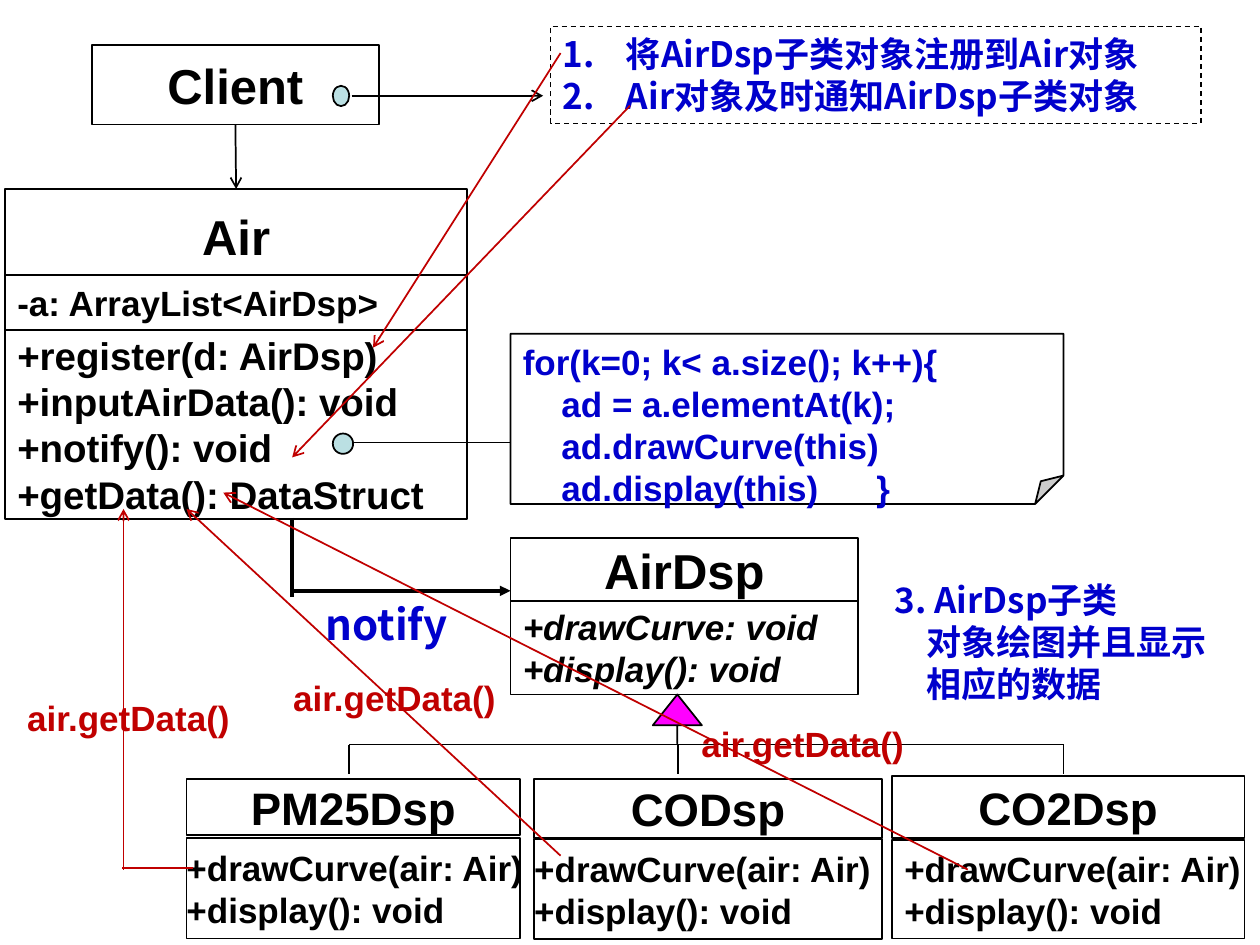
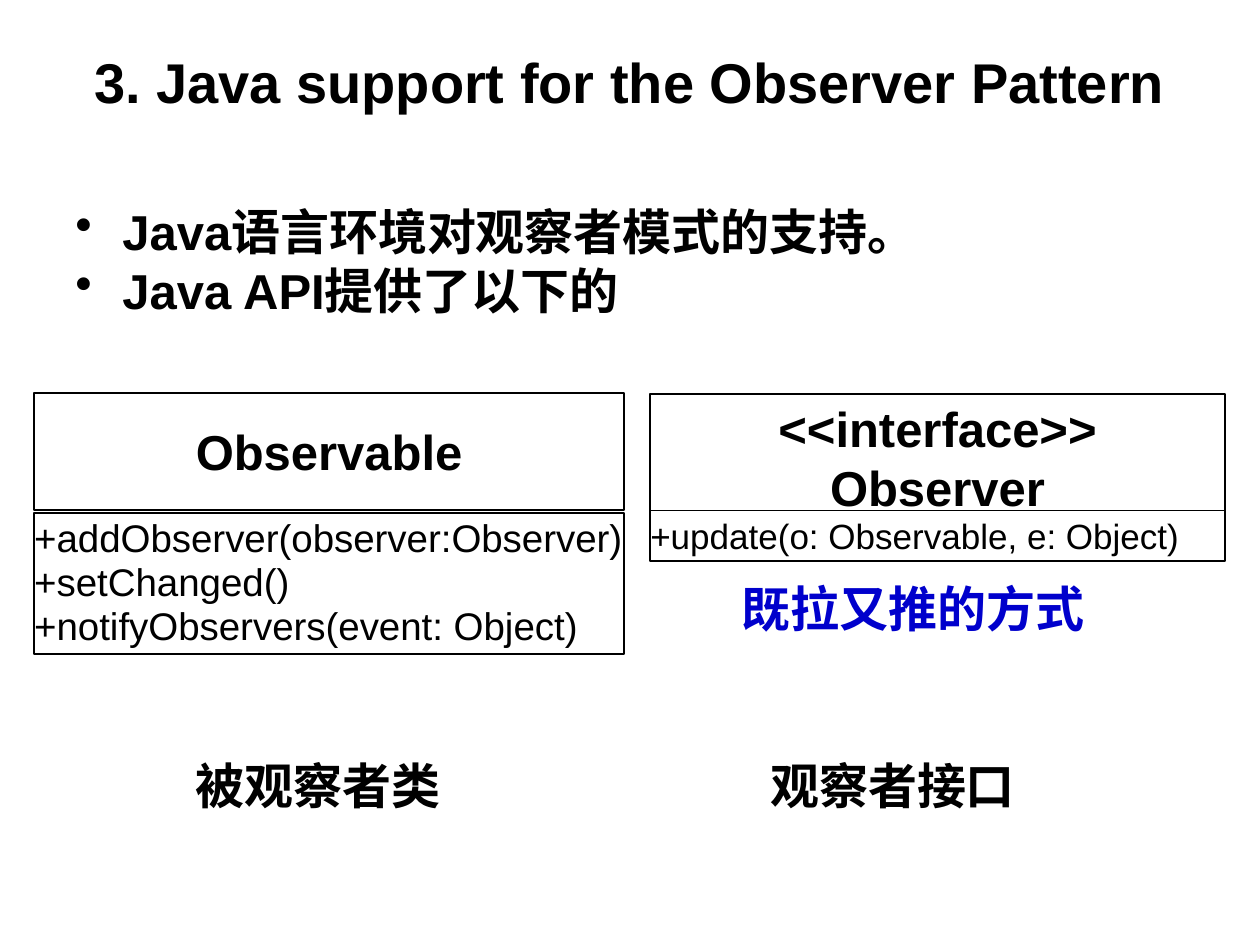
import pptx
import pptx.dml.color
import pptx.enum.dml
import pptx.enum.shapes
import pptx.enum.text
import pptx.oxml.ns
import pptx.util
from lxml import etree

Cm, Pt = pptx.util.Cm, pptx.util.Pt
SHAPE = pptx.enum.shapes.MSO_SHAPE
ALIGN = pptx.enum.text.PP_ALIGN
ANCHOR = pptx.enum.text.MSO_ANCHOR
qn = pptx.oxml.ns.qn

# Shared style
BLACK, WHITE, BLUE, RED = "000000", "FFFFFF", "0000CC", "C00000"
DOT_FILL, TRIANGLE_FILL = "BBE0E3", "FF00FF"
LATIN, CHINESE = "Arial", "Noto Sans CJK SC"
INSETS = (0.25, 0.13, 0.25, 0.13)
FLAT = (0.25, 0, 0.25, 0)
FLUSH = (0, 0, 0.25, 0)
THIN = (0, 0.08, 0, 0.08)

# Content of slide 1: class name -> left, width, compartments (top, height, lines, text style)
DRAW_METHODS = ["+drawCurve(air: Air)", "+display(): void"]
NAME = dict(size=28, align=ALIGN.CENTER)
DISPLAY_NAME = dict(size=26, align=ALIGN.CENTER, insets=FLAT)
CLASSES = {
    "Air": (0.1, 9.32, [
        (3.81, 1.88, ["Air"], NAME),
        (5.54, 1.12, ["-a: ArrayList<AirDsp>"], {}),
        (6.65, 3.81, ["+register(d: AirDsp)", "+inputAirData(): void",
                      "+notify(): void", "+getData(): DataStruct"], dict(size=22))]),
    "PM25Dsp": (3.76, 6.73, [
        (15.7, 1.14, ["PM25Dsp"], DISPLAY_NAME),
        (16.89, 2.03, DRAW_METHODS, dict(insets=FLUSH))]),
    "CODsp": (10.77, 7.01, [
        (15.7, 1.19, ["CODsp"], DISPLAY_NAME),
        (16.92, 2.01, DRAW_METHODS, dict(insets=FLUSH))]),
    "CO2Dsp": (17.98, 7.11, [
        (15.65, 1.24, ["CO2Dsp"], DISPLAY_NAME),
        (16.94, 1.98, DRAW_METHODS, dict(insets=FLAT))]),
    "AirDsp": (10.29, 7.01, [
        (10.85, 1.27, ["AirDsp"], NAME),
        (12.12, 1.88, ["+drawCurve: void", "+display(): void"], dict(italic=True))]),
    "Client": (1.85, 5.79, [(0.91, 1.6, ["Client"], NAME)]),
}
LOOP_CODE = ["for(k=0; k< a.size(); k++){", "ad = a.elementAt(k);",
             "ad.drawCurve(this)", "ad.display(this)\t}"]
CLIENT_STEPS = ["将AirDsp子类对象注册到Air对象", "Air对象及时通知AirDsp子类对象"]
DRAW_STEP = ["3. AirDsp子类", "对象绘图并且显示", "相应的数据"]
GET_DATA_PLACES = [(0.3, 13.92), (5.66, 13.51), (13.89, 14.43)]
DOTS = [(6.71, 8.74, 0.41, 0.41), (6.71, 1.73, 0.33, 0.41)]

# Lines: start, end, colour, width, arrowhead
BUS_Y, DROP_Y, DROP_XS = 15.01, 15.6, [7.04, 13.67, 21.44]
LINES = [
    ((DROP_XS[0], BUS_Y), (DROP_XS[-1], BUS_Y), BLACK, 1, None),
    *[((x, BUS_Y), (x, DROP_Y), BLACK, 1, None) for x in DROP_XS],
    ((5.89, 10.44), (5.89, 12.04), BLACK, 2, None),
    ((5.89, 11.91), (10.29, 11.91), BLACK, 2, "triangle"),
    ((7.09, 8.92), (10.29, 8.92), BLACK, 1, None),
    ((7.09, 1.93), (10.95, 1.93), BLACK, 1, "arrow"),
    ((11.3, 1.07), (7.52, 7.01), RED, 1, "arrow"),
    ((12.7, 2.13), (5.89, 9.22), RED, 1, "arrow"),
    ((2.49, 17.53), (2.49, 10.26), RED, 1, "arrow"),
    ((2.46, 17.5), (3.89, 17.5), RED, 1, None),
    ((11.3, 17.25), (3.76, 10.26), RED, 1, "arrow"),
    ((19.51, 17.53), (4.5, 9.93), RED, 1, "arrow"),
]

# Content of slide 2
TITLE = "3. Java support for the Observer Pattern"
BULLETS = ["Java语言环境对观察者模式的支持。", "Java API提供了以下的"]
API_NAME = dict(size=28, align=ALIGN.CENTER, insets=THIN, wrap=True)
API_METHODS = dict(bold=False, align=ALIGN.JUSTIFY, insets=THIN, wrap=True)
API_CLASSES = {
    "Observable": (0.69, 11.89, [
        (7.92, 2.36, ["Observable"], API_NAME),
        (10.34, 2.84, ["+addObserver(observer:Observer)", "+setChanged()",
                       "+notifyObservers(event: Object)"],
         dict(API_METHODS, size=22, spacing=0.96))]),
    "Observer": (13.11, 11.58, [
        (7.95, 2.54, ["<<interface>>", "Observer"], API_NAME),
        (10.29, 1.02, ["+update(o: Observable, e: Object)"], API_METHODS)]),
}
CAPTIONS = [("被观察者类", 2.11, 15.11, BLACK), ("观察者接口", 13.69, 15.11, BLACK),
            ("既拉又推的方式", 14.1, 11.53, BLUE)]


def colour(value):
    return pptx.dml.color.RGBColor.from_string(value)


def write(shape, lines, size=20, font=LATIN, ink=BLACK, bold=True, italic=False,
          align=ALIGN.LEFT, anchor=ANCHOR.TOP, insets=INSETS, wrap=True, spacing=None):
    frame = shape.text_frame
    frame.word_wrap = wrap
    frame.vertical_anchor = anchor
    frame.margin_left, frame.margin_top, frame.margin_right, frame.margin_bottom = map(Cm, insets)
    if font == CHINESE:
        spacing = Pt(1.2 * size)
    for number, line in enumerate(lines):
        para = frame.add_paragraph() if number else frame.paragraphs[0]
        para.alignment = align
        para.space_before = Pt(0)
        if spacing:
            para.line_spacing = spacing
        span = para.add_run()
        span.text = line
        span.font.name, span.font.size = font, Pt(size)
        span.font.bold, span.font.italic = bold, italic
        span.font.color.rgb = colour(ink)
        east_asian = etree.SubElement(span.font._element, qn("a:ea"))
        east_asian.set("typeface", font)
    return frame.paragraphs


def indent(para, left, hanging=0):
    properties = para._p.get_or_add_pPr()
    properties.set("marL", str(Cm(left)))
    properties.set("indent", str(-Cm(hanging)))
    return properties


def add_item(properties, tag, **attributes):
    etree.SubElement(properties, qn(tag), attributes)


def add_shape(page, kind, place, fill=WHITE, width=1):
    shape = page.shapes.add_shape(kind, *map(Cm, place))
    shape.shadow.inherit = False
    if fill:
        shape.fill.solid()
        shape.fill.fore_color.rgb = colour(fill)
    else:
        shape.fill.background()
    shape.line.color.rgb = colour(BLACK)
    shape.line.width = Pt(width)
    return shape


def add_label(page, place, lines, **style):
    return write(page.shapes.add_textbox(*map(Cm, place)), lines, **style)


def add_line(page, start, end, ink=BLACK, width=1, head=None):
    line = page.shapes.add_connector(pptx.enum.shapes.MSO_CONNECTOR.STRAIGHT,
                                     *map(Cm, start + end))
    line.line.color.rgb = colour(ink)
    line.line.width = Pt(width)
    if head:
        add_item(line.line._get_or_add_ln(), "a:tailEnd", type=head)
    etree.SubElement(line._element.spPr, qn("a:effectLst"))
    return line


def add_classes(page, classes):
    """Draw each class as stacked compartments; return its boxes by name."""
    boxes = {}
    for name, (left, width, compartments) in classes.items():
        boxes[name] = []
        for top, height, lines, style in compartments:
            box = add_shape(page, SHAPE.RECTANGLE, (left, top, width, height))
            write(box, lines, **{"wrap": False, "anchor": ANCHOR.MIDDLE, **style})
            boxes[name].append(box)
    return boxes


def build_class_diagram(deck):
    page = deck.slides.add_slide(deck.slide_layouts[6])
    boxes = add_classes(page, CLASSES)

    # Inheritance triangle
    triangle = add_shape(page, SHAPE.UP_ARROW, (13.16, 14, 0.99, 0.99), TRIANGLE_FILL)
    triangle.adjustments[0], triangle.adjustments[1] = 0, 0.63

    # Code note
    note = add_shape(page, SHAPE.FOLDED_CORNER, (10.29, 6.73, 11.15, 3.43))
    code = write(note, LOOP_CODE, ink=BLUE, wrap=False)
    for para in code[1:]:
        indent(para, 0.78)
    tabs = etree.SubElement(code[-1]._p.get_or_add_pPr(), qn("a:tabLst"))
    add_item(tabs, "a:tab", pos=str(Cm(6.57)), algn="l")

    # Numbered steps of the client
    steps = add_shape(page, SHAPE.RECTANGLE, (11.1, 0.53, 13.11, 1.96), None, 0.75)
    steps.line.dash_style = pptx.enum.dml.MSO_LINE.DASH
    for para in write(steps, CLIENT_STEPS, font=CHINESE, ink=BLUE):
        add_item(indent(para, 1.27, 1.27), "a:buAutoNum", type="arabicPeriod")

    # Dots, lines and arrows
    for place in DOTS:
        add_shape(page, SHAPE.OVAL, place, DOT_FILL)
    uses = add_line(page, (4.75, 2.51), (4.76, 3.81), head="arrow")
    uses.begin_connect(boxes["Client"][0], 2)
    uses.end_connect(boxes["Air"][0], 0)
    for line in LINES:
        add_line(page, *line)

    # Labels
    add_label(page, (5.89, 11.94, 3.81, 1.27), ["notify"], size=24, font=CHINESE,
              ink=BLUE, align=ALIGN.CENTER)
    for para in add_label(page, (17.78, 11.53, 7.11, 2.79), DRAW_STEP,
                          font=CHINESE, ink=BLUE)[1:]:
        indent(para, 0.65)
    for place in GET_DATA_PLACES:
        add_label(page, place + (5.03, 1.12), ["air.getData()"], ink=RED)


def build_java_support(deck):
    page = deck.slides.add_slide(deck.slide_layouts[5])
    title = page.shapes.title
    title.left, title.top, title.width, title.height = map(Cm, (1.27, 0.76, 22.86, 1.75))
    write(title, [TITLE], size=32, align=ALIGN.CENTER, anchor=ANCHOR.MIDDLE)

    for para in add_label(page, (1.27, 3.94, 22.86, 3), BULLETS, size=28):
        add_item(indent(para, 0.95, 0.95), "a:buChar", char="•")

    add_classes(page, API_CLASSES)
    for text, left, top, ink in CAPTIONS:
        add_label(page, (left, top, 8.61, 1.45), [text], size=28, font=CHINESE,
                  ink=ink, align=ALIGN.CENTER)


def main():
    deck = pptx.Presentation()
    deck.slide_width, deck.slide_height = Cm(25.4), Cm(19.05)
    build_class_diagram(deck)
    build_java_support(deck)
    deck.save("out.pptx")


if __name__ == "__main__":
    main()
